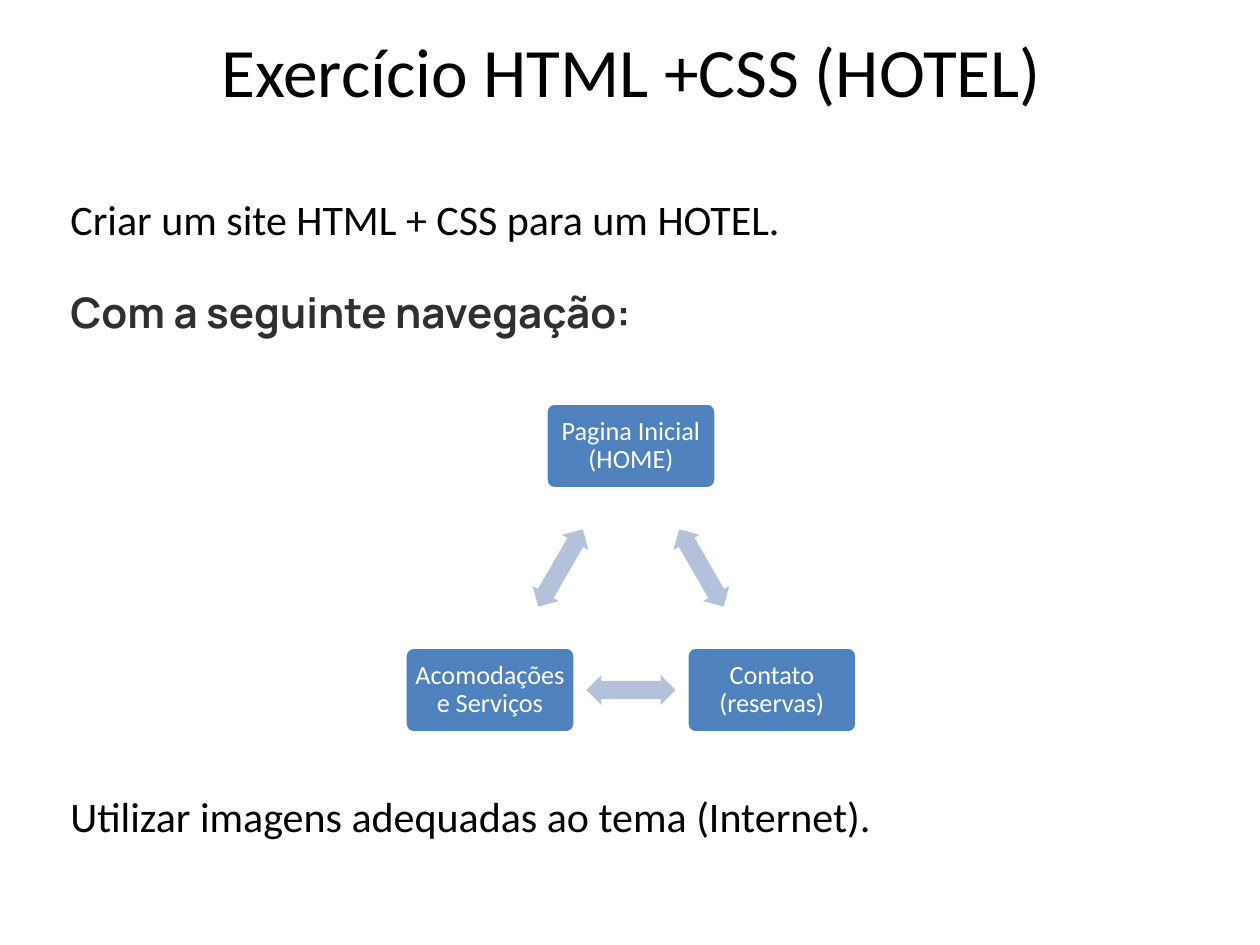
import math

from pptx import Presentation
from pptx.dml.color import RGBColor
from pptx.enum import shapes, text
from pptx.util import Cm, Pt

BLACK = RGBColor(0x00, 0x00, 0x00)
WHITE = RGBColor(0xFF, 0xFF, 0xFF)
CHARCOAL = RGBColor(0x2F, 0x2F, 0x2F)
BLUE = RGBColor(0x4F, 0x81, 0xBD)
PALE_BLUE = RGBColor(0xB3, 0xC1, 0xDB)

# Navigation cycle, in cm: pages sit evenly on a circle, clockwise from the top
CYCLE_X, CYCLE_Y, RADIUS = 12.72, 12.27, 3.28
PAGE_W, PAGE_H = 3.43, 1.73
ARROW_W, ARROW_H = 1.8, 0.61
PAGES = ["Pagina Inicial (HOME)", "Contato (reservas)", "Acomodações e Serviços"]


def write(paragraph, words, size=24, font="Calibri", color=BLACK, bold=False,
          align=text.PP_ALIGN.LEFT, before=0, line=1.0):
    paragraph.alignment = align
    paragraph.space_before = Pt(before)
    paragraph.line_spacing = line
    run = paragraph.add_run()
    run.text = words
    run.font.size = Pt(size)
    run.font.name = font
    run.font.bold = bold
    run.font.color.rgb = color


def add_title(slide, words):
    title = slide.shapes.title
    title.left, title.top, title.width, title.height = Cm(1.3), Cm(0.53), Cm(22.86), Cm(1.75)
    title.text_frame.vertical_anchor = text.MSO_ANCHOR.MIDDLE
    write(title.text_frame.paragraphs[0], words, size=39.6, align=text.PP_ALIGN.CENTER)


def add_instructions(slide):
    frame = slide.shapes.add_textbox(Cm(1.17), Cm(3.78), Cm(20.73), Cm(13.59)).text_frame
    frame.word_wrap = True
    write(frame.paragraphs[0], "Criar um site HTML + CSS para um HOTEL.")
    write(frame.add_paragraph(), "Com a seguinte navegação:",
          font="Manrope", color=CHARCOAL, bold=True, before=24.5)
    # The wide gap leaves room for the navigation cycle
    write(frame.add_paragraph(), "Utilizar imagens adequadas ao tema (Internet).", before=259)


def add_centred(slide, kind, center, width, height, fill):
    x, y = center
    shape = slide.shapes.add_shape(
        kind, Cm(x - width / 2), Cm(y - height / 2), Cm(width), Cm(height))
    shape.shadow.inherit = False
    shape.fill.solid()
    shape.fill.fore_color.rgb = fill
    return shape


def add_page(slide, words, center):
    page = add_centred(slide, shapes.MSO_SHAPE.ROUNDED_RECTANGLE, center, PAGE_W, PAGE_H, BLUE)
    page.adjustments[0] = 0.1
    page.line.color.rgb = WHITE
    page.line.width = Pt(2)
    frame = page.text_frame
    frame.word_wrap = True
    frame.vertical_anchor = text.MSO_ANCHOR.MIDDLE
    frame.margin_left = frame.margin_right = frame.margin_top = frame.margin_bottom = Cm(0.14)
    write(frame.paragraphs[0], words, size=15, color=WHITE,
          align=text.PP_ALIGN.CENTER, line=0.9)


def add_link(slide, start, end):
    middle = [(a + b) / 2 for a, b in zip(start, end)]
    link = add_centred(slide, shapes.MSO_SHAPE.LEFT_RIGHT_ARROW, middle,
                       ARROW_W, ARROW_H, PALE_BLUE)
    link.adjustments[0] = 0.6
    link.adjustments[1] = 0.5
    link.line.fill.background()
    link.rotation = round(math.degrees(math.atan2(end[1] - start[1], end[0] - start[0]))) % 360


def add_navigation(slide):
    step = 2 * math.pi / len(PAGES)
    centers = [(CYCLE_X + RADIUS * math.sin(i * step), CYCLE_Y - RADIUS * math.cos(i * step))
               for i in range(len(PAGES))]
    for i, (words, center) in enumerate(zip(PAGES, centers)):
        add_page(slide, words, center)
        add_link(slide, center, centers[(i + 1) % len(centers)])


def main():
    deck = Presentation()
    deck.slide_width, deck.slide_height = Cm(25.4), Cm(19.05)
    slide = deck.slides.add_slide(deck.slide_layouts[5])  # title only
    add_title(slide, "Exercício HTML +CSS (HOTEL)")
    add_instructions(slide)
    add_navigation(slide)
    deck.save("out.pptx")


if __name__ == "__main__":
    main()
